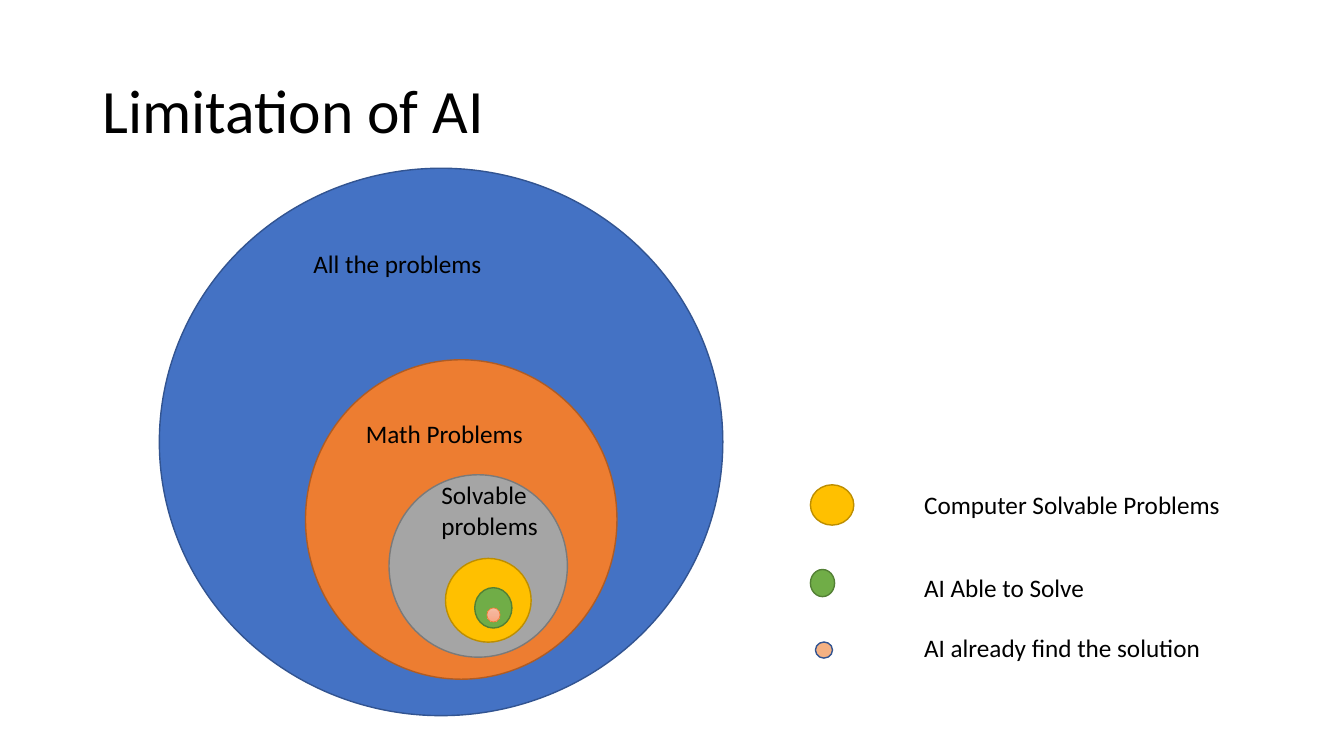
from copy import deepcopy

from pptx import Presentation
from pptx.dml.color import RGBColor
from pptx.enum import shapes, text
from pptx.oxml import ns
from pptx.util import Pt

BLACK = RGBColor(0x00, 0x00, 0x00)
BLUE, BLUE_EDGE = RGBColor(0x44, 0x72, 0xC4), RGBColor(0x32, 0x54, 0x91)
ORANGE, ORANGE_EDGE = RGBColor(0xED, 0x7D, 0x31), RGBColor(0xAF, 0x5C, 0x24)
GREY, GREY_EDGE = RGBColor(0xA5, 0xA5, 0xA5), RGBColor(0x7A, 0x7A, 0x7A)
GOLD, GOLD_EDGE = RGBColor(0xFF, 0xC0, 0x00), RGBColor(0xBD, 0x8E, 0x00)
GREEN, GREEN_EDGE = RGBColor(0x70, 0xAD, 0x47), RGBColor(0x53, 0x80, 0x35)
PEACH = RGBColor(0xF4, 0xB1, 0x83)
PEACH_BLEND = [
    (0, RGBColor(0xF7, 0xBD, 0xA5)),
    (0.5, RGBColor(0xF5, 0xB1, 0x96)),
    (1, RGBColor(0xF8, 0xA5, 0x82)),
]

# Nested sets, outermost first: left, top, width, height, fill, edge
PROBLEM_SETS = [
    (113.8, 120.2, 402.5, 391, BLUE, BLUE_EDGE),
    (218.2, 257, 222.5, 228.2, ORANGE, ORANGE_EDGE),
    (277.9, 339.1, 127.4, 130.3, GREY, GREY_EDGE),
    (318.2, 398.9, 61.2, 59.8, GOLD, GOLD_EDGE),
    (339.1, 419.8, 26.6, 28.8, GREEN, GREEN_EDGE),
]
SET_LABELS = [
    ("All the problems", 216.7, 174.2, 154.8, 28.8),
    ("Math Problems", 254.2, 295.2, 131.8, 28.8),
    ("Solvable problems", 308.2, 339.1, 87.8, 50.4),
]

# Legend: caption, caption top, marker
LEGEND_LEFT, LEGEND_WIDTH = 653, 262
LEGEND = [
    ("Computer Solvable Problems", 346.3,
     (578.9, 346.3, 31, 28.8, GOLD, GOLD_EDGE)),
    ("AI Able to Solve", 405.4,
     (578.9, 406.8, 17.3, 19.4, GREEN, GREEN_EDGE)),
    ("AI already find the solution", 447.8,
     (582.5, 458.6, 12.2, 11.5, PEACH, BLUE_EDGE)),
]


def apply_format(target, values):
    for attribute, value in values.items():
        setattr(target, attribute, value)


def add_circle(slide, left, top, width, height, fill, edge, edge_width=1):
    circle = slide.shapes.add_shape(
        shapes.MSO_SHAPE.OVAL, Pt(left), Pt(top), Pt(width), Pt(height))
    circle.shadow.inherit = False
    circle.fill.solid()
    circle.fill.fore_color.rgb = fill
    circle.line.color.rgb = edge
    circle.line.width = Pt(edge_width)
    return circle


def blend_fill(circle, blend):
    """Fill from top to bottom with the given (position, colour) stops."""
    circle.fill.gradient()
    circle.fill.gradient_angle = 270
    stop_list = circle._element.spPr.find(".//" + ns.qn("a:gsLst"))
    while len(stop_list) < len(blend):
        stop_list.append(deepcopy(stop_list[0]))
    for stop, (position, colour) in zip(circle.fill.gradient_stops, blend):
        stop.position = position
        stop.color.rgb = colour


def add_label(slide, wording, left, top, width, height, size=18,
              anchor=text.MSO_ANCHOR.TOP, line_spacing=1.0):
    frame = slide.shapes.add_textbox(
        Pt(left), Pt(top), Pt(width), Pt(height)).text_frame
    apply_format(frame, {"word_wrap": True, "vertical_anchor": anchor})
    paragraph = frame.paragraphs[0]
    paragraph.line_spacing = line_spacing
    run = paragraph.add_run()
    run.text = wording
    apply_format(run.font, {"name": "Calibri", "size": Pt(size)})
    run.font.color.rgb = BLACK


def main():
    deck = Presentation()
    apply_format(deck, {"slide_width": Pt(960), "slide_height": Pt(540)})
    slide = deck.slides.add_slide(deck.slide_layouts[6])

    # Title
    add_label(slide, "Limitation of AI", 66, 28.8, 828, 104.4, size=44,
              anchor=text.MSO_ANCHOR.MIDDLE, line_spacing=0.9)

    # Nested problem sets
    for problem_set in PROBLEM_SETS:
        add_circle(slide, *problem_set)
    found = add_circle(slide, 347.8, 434.2, 9.4, 10.1, PEACH, ORANGE, 0.5)
    blend_fill(found, PEACH_BLEND)
    for set_label in SET_LABELS:
        add_label(slide, *set_label)

    # Legend
    for caption, top, marker in LEGEND:
        add_circle(slide, *marker)
        add_label(slide, caption, LEGEND_LEFT, top, LEGEND_WIDTH, 28.8)

    deck.save("out.pptx")


main()
